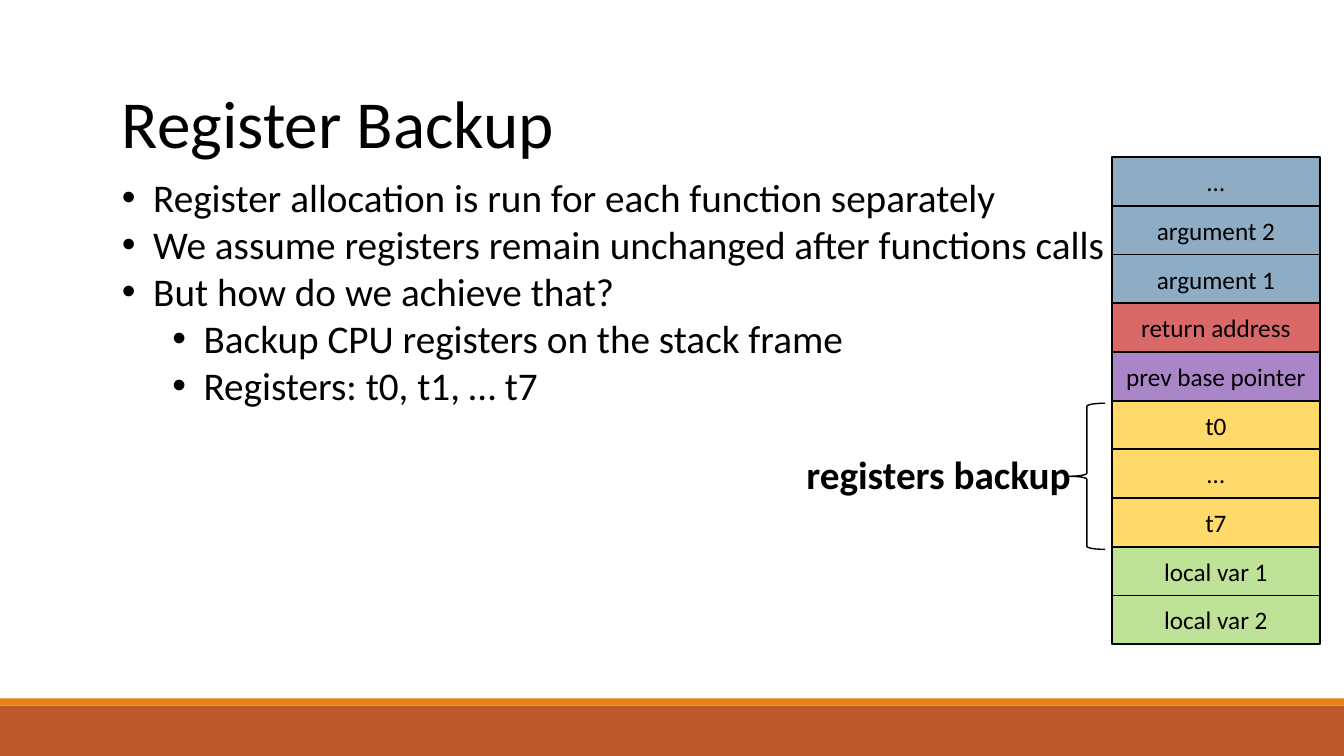
from lxml import etree
from pptx import Presentation
from pptx.dml.color import RGBColor
from pptx.enum.shapes import MSO_SHAPE
from pptx.enum.text import MSO_ANCHOR, MSO_AUTO_SIZE, PP_ALIGN
from pptx.oxml.ns import qn
from pptx.util import Inches, Pt

FONT = "Calibri"
BLACK = "000000"
TITLE = "Register Backup"
BULLETS = [
    (0, "Register allocation is run for each function separately"),
    (0, "We assume registers remain unchanged after functions calls"),
    (0, "But how do we achieve that?"),
    (1, "Backup CPU registers on the stack frame"),
    (1, "Registers: t0, t1, … t7"),
]
STACK_FRAME = [
    ("…", "40749B"),
    ("argument 2", "40749B"),
    ("argument 1", "40749B"),
    ("return address", "C00000"),
    ("prev base pointer", "7030A0"),
    ("t0", "FFC000"),
    ("…", "FFC000"),
    ("t7", "FFC000"),
    ("local var 1", "92D050"),
    ("local var 2", "92D050"),
]
BRACE_LABEL = "registers backup"
FOOTER_BARS = [(7, 0.5, "BD582C"), (6.93, 0.07, "E48312")]

SLIDE_WIDTH, SLIDE_HEIGHT = 13.33, 7.5
STACK_LEFT, STACK_TOP, STACK_WIDTH, STACK_HEIGHT = 11.03, 1.56, 2.06, 4.83
CELL_OPACITY = 59
BULLET_HANG = 0.31
LEVEL_INDENTS = [0.31, 0.81]


def color(hex_string):
    return RGBColor.from_string(hex_string)


def set_font(paragraph, size, bold=False):
    font = paragraph.font
    font.name = FONT
    font.size = Pt(size)
    font.bold = bold
    font.color.rgb = color(BLACK)


def place(shape, left, top, width, height):
    shape.left, shape.top = Inches(left), Inches(top)
    shape.width, shape.height = Inches(width), Inches(height)


def fit_to_text(frame):
    frame.word_wrap = True
    frame.auto_size = MSO_AUTO_SIZE.SHAPE_TO_FIT_TEXT
    frame.vertical_anchor = MSO_ANCHOR.TOP


def add_plain_shape(shapes, kind, left, top, width, height, fill=None, line_width=None):
    shape = shapes.add_shape(kind, Inches(left), Inches(top), Inches(width), Inches(height))
    shape.shadow.inherit = False
    if fill:
        shape.fill.solid()
        shape.fill.fore_color.rgb = color(fill)
    else:
        shape.fill.background()
    if line_width:
        shape.line.color.rgb = color(BLACK)
        shape.line.width = Pt(line_width)
    else:
        shape.line.fill.background()
    return shape


def set_opacity(shape, percent):
    fill_color = shape.fill._xPr.find(qn("a:solidFill"))[0]
    etree.SubElement(fill_color, qn("a:alpha"), val=str(percent * 1000))


def add_bullet(paragraph, indent):
    properties = paragraph._p.get_or_add_pPr()
    properties.set("marL", str(Inches(indent)))
    properties.set("indent", str(-Inches(BULLET_HANG)))
    etree.SubElement(properties, qn("a:buFont"), typeface="Arial")
    etree.SubElement(properties, qn("a:buChar"), char="•")


def fill_title(title):
    place(title, 1.11, 0.76, 11.09, 0.91)
    title.text_frame.text = TITLE
    fit_to_text(title.text_frame)
    paragraph = title.text_frame.paragraphs[0]
    paragraph.alignment = PP_ALIGN.LEFT
    set_font(paragraph, 48)


def fill_body(body):
    place(body, 1.11, 1.67, 11.27, 2.46)
    frame = body.text_frame
    frame.text = "\n".join(text for _, text in BULLETS)
    fit_to_text(frame)
    for paragraph, (level, _) in zip(frame.paragraphs, BULLETS):
        paragraph.level = level
        paragraph.space_before = Pt(0)
        add_bullet(paragraph, LEVEL_INDENTS[level])
        set_font(paragraph, 28)


def add_stack(slide):
    stack = slide.shapes.add_group_shape()
    cell_height = STACK_HEIGHT / len(STACK_FRAME)
    for row, (text, fill) in enumerate(STACK_FRAME):
        cell = add_plain_shape(stack.shapes, MSO_SHAPE.RECTANGLE, STACK_LEFT,
                               STACK_TOP + row * cell_height, STACK_WIDTH,
                               cell_height, fill, 1.25)
        set_opacity(cell, CELL_OPACITY)
        cell.text_frame.text = text
        cell.text_frame.vertical_anchor = MSO_ANCHOR.MIDDLE
        paragraph = cell.text_frame.paragraphs[0]
        paragraph.alignment = PP_ALIGN.CENTER
        set_font(paragraph, 18)


def add_brace_label(slide):
    add_plain_shape(slide.shapes, MSO_SHAPE.LEFT_BRACE, 10.6, 4, 0.36, 1.45, line_width=1)
    label = slide.shapes.add_textbox(Inches(7.9), Inches(4.42), Inches(3.1), Inches(0.57))
    label.text_frame.text = BRACE_LABEL
    fit_to_text(label.text_frame)
    set_font(label.text_frame.paragraphs[0], 28, bold=True)


def main():
    presentation = Presentation()
    presentation.slide_width = Inches(SLIDE_WIDTH)
    presentation.slide_height = Inches(SLIDE_HEIGHT)
    slide = presentation.slides.add_slide(presentation.slide_layouts[1])
    for top, height, fill in FOOTER_BARS:
        add_plain_shape(slide.shapes, MSO_SHAPE.RECTANGLE, 0, top, SLIDE_WIDTH, height, fill)
    fill_title(slide.shapes.title)
    fill_body(slide.placeholders[1])
    add_stack(slide)
    add_brace_label(slide)
    presentation.save("out.pptx")


if __name__ == "__main__":
    main()
